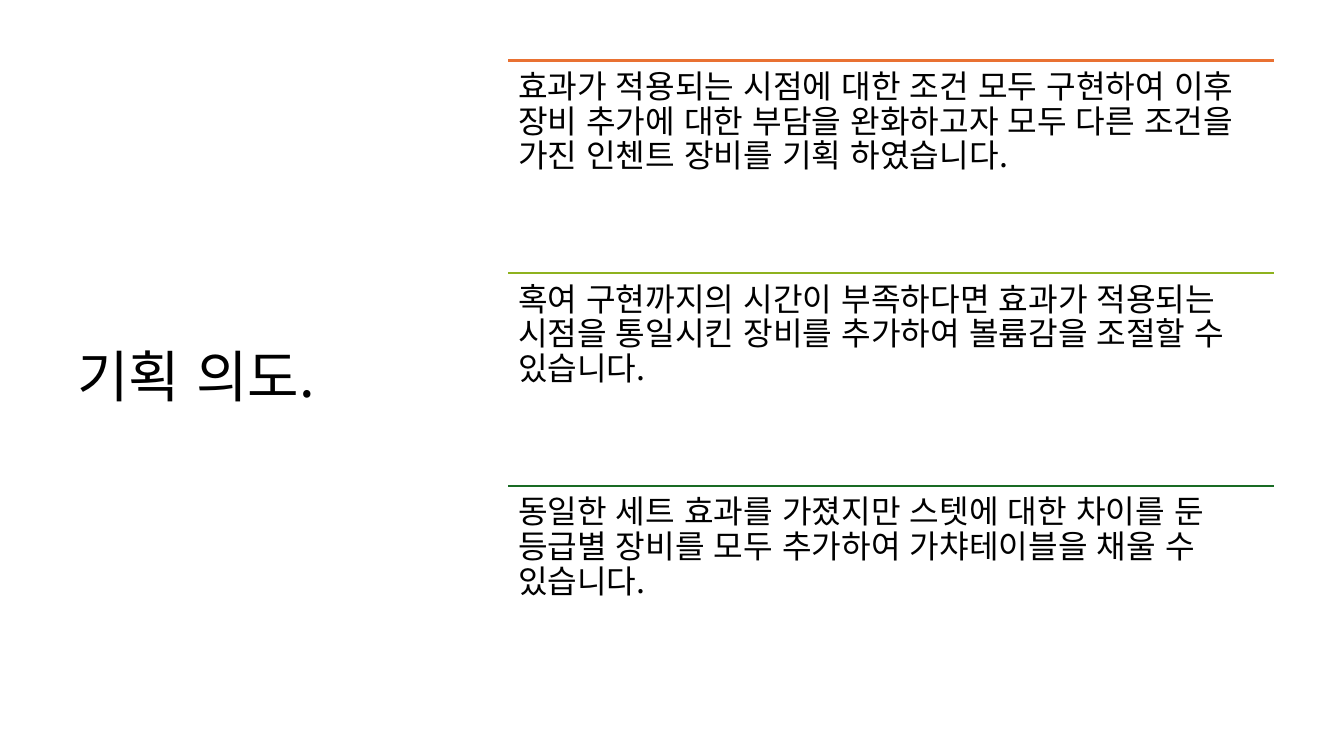
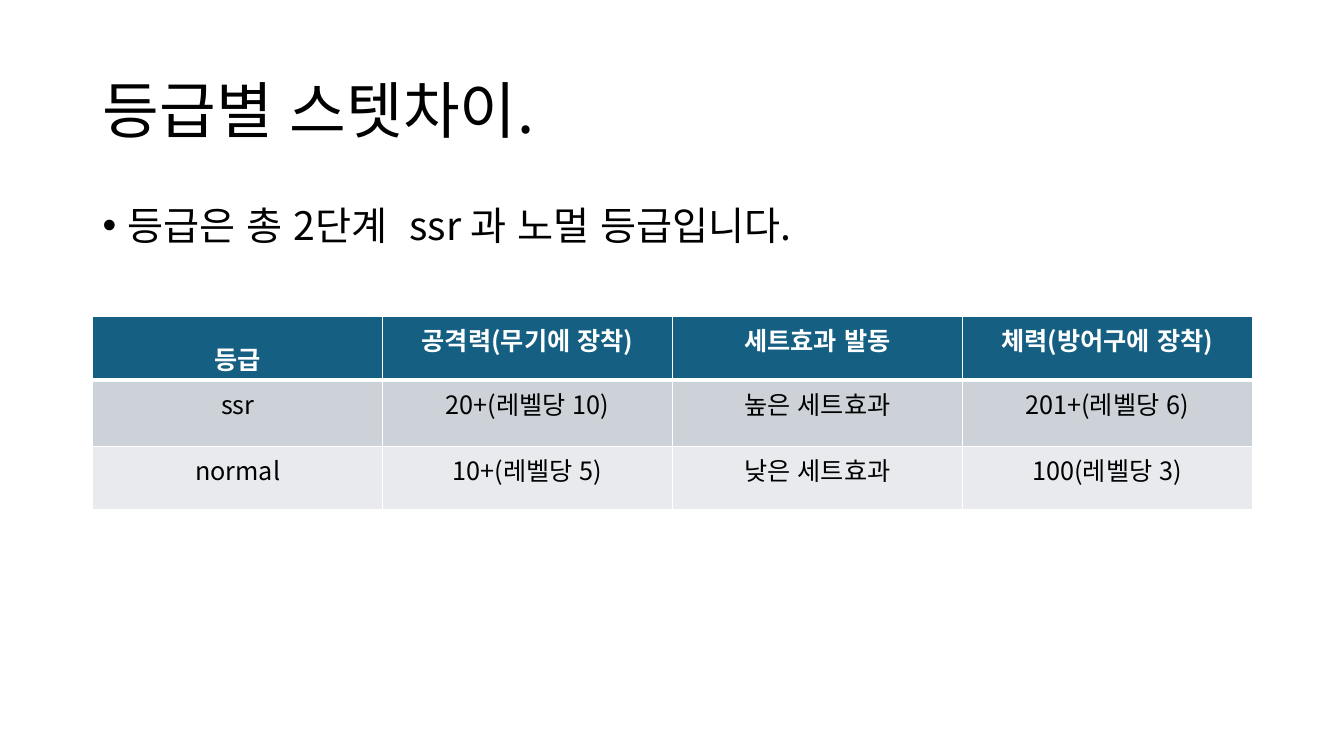
from lxml import etree
from pptx import Presentation
from pptx.dml.color import RGBColor
from pptx.enum.lang import MSO_LANGUAGE_ID
from pptx.enum.shapes import MSO_CONNECTOR
from pptx.enum.text import MSO_ANCHOR, PP_ALIGN
from pptx.oxml.ns import qn
from pptx.util import Emu, Inches, Pt

TOP, MIDDLE = MSO_ANCHOR.TOP, MSO_ANCHOR.MIDDLE
CENTER = PP_ALIGN.CENTER
STRAIGHT = MSO_CONNECTOR.STRAIGHT
KOREAN = MSO_LANGUAGE_ID.KOREAN

FONT = "Noto Sans CJK KR"
BLACK, WHITE = "000000", "FFFFFF"
HEAD, DARK, LIGHT = "156082", "CCD2D8", "E8EAED"

POINTS = [
    ("E97132", "효과가 적용되는 시점에 대한 조건 모두 구현하여 이후 장비 추가에 대한 부담을 "
               "완화하고자 모두 다른 조건을 가진 인첸트 장비를 기획 하였습니다."),
    ("8EB21E", "혹여 구현까지의 시간이 부족하다면 효과가 적용되는 시점을 통일시킨 장비를 "
               "추가하여 볼륨감을 조절할 수 있습니다."),
    ("196B24", "동일한 세트 효과를 가졌지만 스텟에 대한 차이를 둔 등급별 장비를 모두 "
               "추가하여 가챠테이블을 채울 수 있습니다."),
]
GRADES = [
    ["등급", "공격력(무기에 장착)", "세트효과 발동", "체력(방어구에 장착)"],
    ["ssr", "20+(레벨당 10)", "높은 세트효과", "201+(레벨당 6)"],
    ["normal", "10+(레벨당 5)", "낮은 세트효과", "100(레벨당 3)"],
]


def paint(color):
    return RGBColor.from_string(color)


def write(para, text, size, color=BLACK, bold=False, **form):
    """Fill a paragraph with one run and apply paragraph formats."""
    for name, value in form.items():
        setattr(para, name, value)
    run = para.add_run()
    run.text = text
    font = run.font
    looks = {"name": FONT, "size": Pt(size), "bold": bold, "language_id": KOREAN}
    for name, value in looks.items():
        setattr(font, name, value)
    font.color.rgb = paint(color)
    latin = run._r.rPr.find(qn("a:latin"))
    east = etree.Element(qn("a:ea"), typeface=FONT)
    latin.addnext(east)


def add_text(slide, box, text, size, anchor=TOP, **form):
    frame = slide.shapes.add_textbox(*map(Inches, box)).text_frame
    frame.word_wrap = True
    frame.vertical_anchor = anchor
    para = frame.paragraphs[0]
    write(para, text, size, line_spacing=0.9, **form)
    return frame


def add_title(slide, box, text, size):
    add_text(slide, box, text, size, MIDDLE)


def add_rule(slide, left, top, width, color):
    line = slide.shapes.add_connector(
        STRAIGHT, *map(Inches, (left, top, left + width, top)))
    line.line.color.rgb = paint(color)
    line.line.width = Pt(1.5)
    etree.SubElement(line._element.spPr, qn("a:effectLst"))


def add_points(slide, box):
    """Stack equal rows, each with a coloured rule on top."""
    left, top, width, height = box
    step = height / len(POINTS)
    for i, (color, text) in enumerate(POINTS):
        y = top + i * step
        add_rule(slide, left, y, width, color)
        frame = add_text(slide, (left, y, width, step), text, 23)
        for side in ("left", "top", "right", "bottom"):
            setattr(frame, "margin_" + side, Inches(0.1))


def add_bullet(slide, box, text):
    frame = add_text(slide, box, text, 28, space_before=Pt(10))
    props = frame.paragraphs[0]._p.get_or_add_pPr()
    props.set("marL", str(Inches(0.25)))
    props.set("indent", str(-Inches(0.25)))
    etree.SubElement(props, qn("a:buFont"), typeface="Arial")
    etree.SubElement(props, qn("a:buChar"), char="•")


def add_edges(cell, widths):
    props = cell._tc.get_or_add_tcPr()
    for side, width in zip("LRTB", widths):
        edge = etree.SubElement(props, qn("a:ln" + side), w=str(Pt(width)))
        fill = etree.SubElement(edge, qn("a:solidFill"))
        etree.SubElement(fill, qn("a:srgbClr"), val=WHITE)


def add_grades(slide, box, heights):
    shape = slide.shapes.add_table(len(GRADES), len(GRADES[0]), *map(Inches, box))
    table = shape.table
    for col in table.columns:
        col.width = Emu(Inches(box[2]) // len(GRADES[0]))
    fills = (HEAD, DARK, LIGHT)
    for r, (texts, height, fill) in enumerate(zip(GRADES, heights, fills)):
        table.rows[r].height = Inches(height)
        head = r == 0
        for c, text in enumerate(texts):
            cell = table.cell(r, c)
            add_edges(cell, (1, 1, 3 if r == 1 else 1, 3 if head else 1))
            cell.fill.solid()
            cell.fill.fore_color.rgb = paint(fill)
            form = {"line_spacing": 1.5} if head and c == 0 else {}
            write(cell.text_frame.paragraphs[0], text, 18,
                  WHITE if head else BLACK, head, alignment=CENTER, **form)


def build_intent(slide):
    add_title(slide, (0.67, 0.6, 3.82, 6.33), "기획 의도.", 40)
    add_points(slide, (5.04, 0.6, 7.6, 6.33))


def build_grades(slide):
    left, width = 0.92, 11.5
    add_title(slide, (left, 0.4, width, 1.45), "등급별 스텟차이.", 44)
    add_bullet(slide, (left, 2, width, 4.76), "등급은 총 2단계  ssr 과 노멀 등급입니다.")
    add_grades(slide, (left, 3.14, width, 1.92), (0.63, 0.66, 0.63))


def main():
    deck = Presentation()
    deck.slide_width, deck.slide_height = Inches(13.33), Inches(7.5)
    for build in (build_intent, build_grades):
        build(deck.slides.add_slide(deck.slide_layouts[6]))
    deck.save("out.pptx")


if __name__ == "__main__":
    main()
